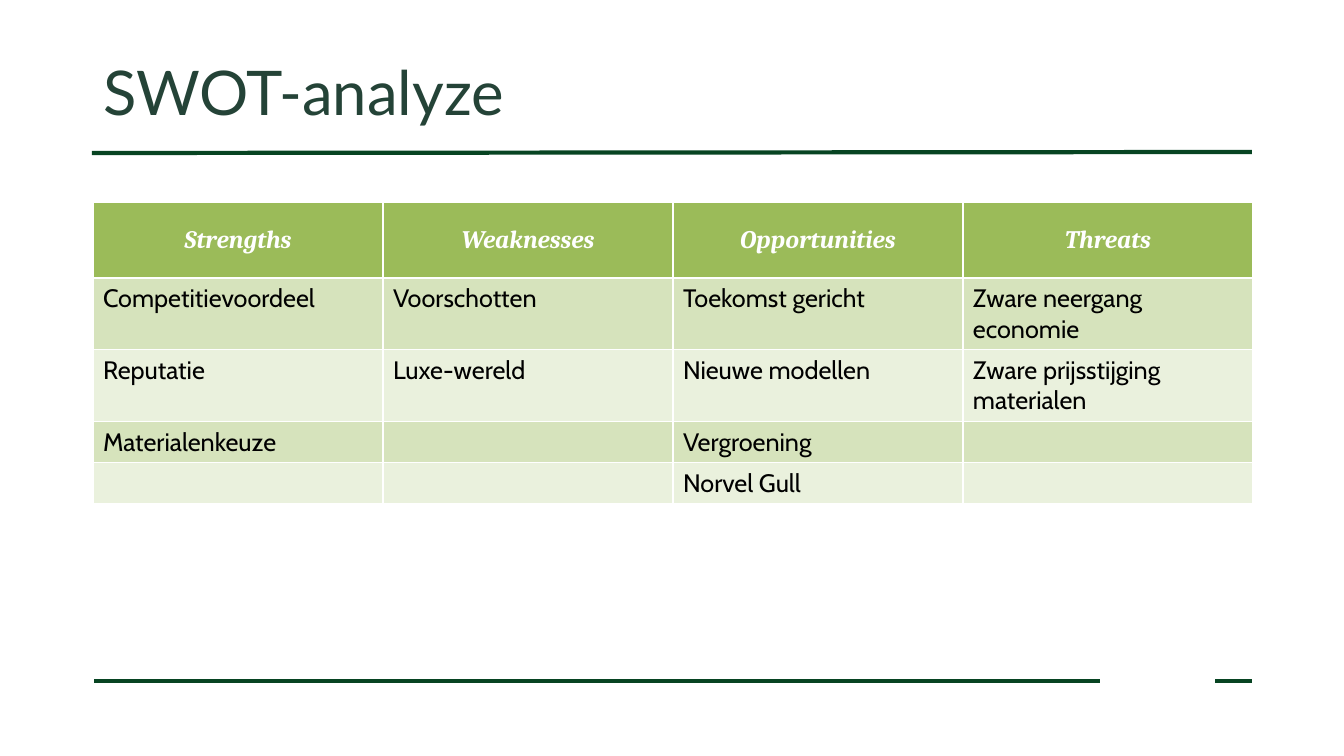
from lxml import etree
from pptx import Presentation
from pptx.dml.color import RGBColor
from pptx.enum.shapes import MSO_CONNECTOR
from pptx.enum.text import MSO_ANCHOR, PP_ALIGN
from pptx.oxml.ns import qn
from pptx.util import Emu, Pt

STRAIGHT = MSO_CONNECTOR.STRAIGHT
MIDDLE, TOP = MSO_ANCHOR.MIDDLE, MSO_ANCHOR.TOP
LEFT, CENTER = PP_ALIGN.LEFT, PP_ALIGN.CENTER

THEME = {
    "rule": "074422",
    "border": "FFFFFF",
    "header_fill": "9BBB59",
    "bands": ["D6E3BC", "EAF1DD"],
    "title": {"name": "Lato", "size": Pt(44), "color": "244337", "bold": False},
    "header": {"name": "Cambria", "size": Pt(18), "color": "FFFFFF", "bold": True, "italic": True},
    "body": {"name": "Cabin", "size": Pt(18), "color": "000000", "bold": False, "italic": False},
}


def px(n):
    return Emu(round(n * 914400 / 100.8))


def format_font(font, style):
    for key, value in style.items():
        if key == "color":
            font.color.rgb = RGBColor.from_string(value)
        else:
            setattr(font, key, value)


prs = Presentation()
prs.slide_width, prs.slide_height = px(1344), px(756)
s = prs.slides.add_slide(prs.slide_layouts[5])

for ends in [(1252, 152, 92, 153), (1100, 681, 94, 681), (1252, 681, 1215, 681)]:
    rule = s.shapes.add_connector(STRAIGHT, *map(px, ends))
    rule.line.color.rgb = RGBColor.from_string(THEME["rule"])
    rule.line.width = Pt(3)
    etree.SubElement(rule.line._get_or_add_ln().getparent(), qn("a:effectLst"))

title = s.shapes.title
title.left, title.top, title.width, title.height = map(px, (93, 40, 1159, 111))
tf = title.text_frame
tf.text = "SWOT-analyze"
tf.vertical_anchor = MIDDLE
p = tf.paragraphs[0]
p.alignment = LEFT
p.line_spacing = 0.9
format_font(p.runs[0].font, THEME["title"])

swot = [
    ["Strengths", "Weaknesses", "Opportunities", "Threats"],
    ["Competitievoordeel", "Voorschotten", "Toekomst gericht", "Zware neergang economie"],
    ["Reputatie", "Luxe-wereld", "Nieuwe modellen", "Zware prijsstijging materialen"],
    ["Materialenkeuze", "", "Vergroening", ""],
    ["", "", "Norvel Gull", ""],
]
row_heights = [76, 71, 72, 41, 41]

table = s.shapes.add_table(
    len(swot), len(swot[0]), px(93), px(202), px(1160), px(sum(row_heights))
).table
for column in table.columns:
    column.width = px(290)

for i, texts in enumerate(swot):
    table.rows[i].height = px(row_heights[i])
    style = THEME["body"] if i else THEME["header"]
    fill = THEME["bands"][(i - 1) % 2] if i else THEME["header_fill"]
    for j, text in enumerate(texts):
        cell = table.cell(i, j)
        cell.vertical_anchor = TOP if i else MIDDLE
        tc_pr = cell._tc.get_or_add_tcPr()
        for side in ("a:lnL", "a:lnR", "a:lnT", "a:lnB"):
            ln = etree.SubElement(tc_pr, qn(side), w=str(Pt(1)))
            solid = etree.SubElement(ln, qn("a:solidFill"))
            etree.SubElement(solid, qn("a:srgbClr"), val=THEME["border"])
        cell.fill.solid()
        cell.fill.fore_color.rgb = RGBColor.from_string(fill)
        p = cell.text_frame.paragraphs[0]
        p.alignment = LEFT if i else CENTER
        if text:
            r = p.add_run()
            r.text = text
            format_font(r.font, style)

prs.save("out.pptx")
